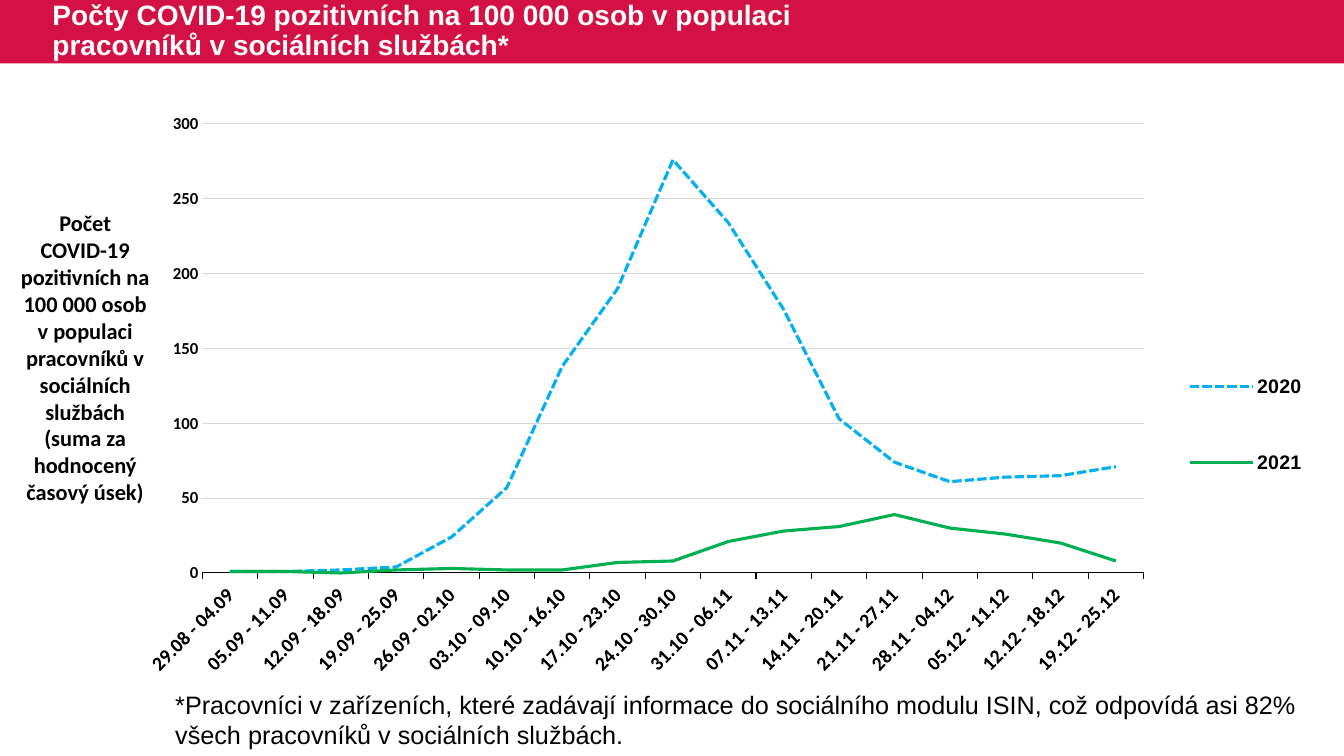
import pptx
import pptx.chart.data
import pptx.dml.color
import pptx.enum.chart
import pptx.enum.dml
import pptx.enum.shapes
import pptx.enum.text
import pptx.oxml
import pptx.oxml.ns
import pptx.util

COLOURS = {"band": "D31145", "white": "FFFFFF", "ink": "000000",
           "grid": "D9D9D9", "2020": "00B0F0", "2021": "00B050"}

WEEKS = ["29.08 - 04.09", "05.09 - 11.09", "12.09 - 18.09", "19.09 - 25.09",
         "26.09 - 02.10", "03.10 - 09.10", "10.10 - 16.10", "17.10 - 23.10",
         "24.10 - 30.10", "31.10 - 06.11", "07.11 - 13.11", "14.11 - 20.11",
         "21.11 - 27.11", "28.11 - 04.12", "05.12 - 11.12", "12.12 - 18.12",
         "19.12 - 25.12"]

CASES = {
    "2020": [1, 1, 2, 4, 24, 57, 138, 190, 276, 234, 176, 103, 74, 61, 64, 65, 71],
    "2021": [1, 1, 0, 2, 3, 2, 2, 7, 8, 21, 28, 31, 39, 30, 26, 20, 8],
}


def apply(target, values):
    for attribute, value in values.items():
        setattr(target, attribute, value)


class SlideBuilder:
    def __init__(self, deck):
        self.width, self.height = deck.slide_width, deck.slide_height
        self.slide = deck.slides.add_slide(deck.slide_layouts[5])
        self.shapes = self.slide.shapes

    def box(self, left, top, width, height):
        return {"left": int(self.width * left / 100),
                "top": int(self.height * top / 100),
                "width": int(self.width * width / 100),
                "height": int(self.height * height / 100)}

    def colour(self, target, name):
        target.rgb = pptx.dml.color.RGBColor.from_string(COLOURS[name])

    def font(self, font, size, name="Arial", bold=True, colour="ink"):
        apply(font, {"size": pptx.util.Pt(size), "name": name, "bold": bold})
        self.colour(font.color, colour)

    def line(self, line, colour, width):
        line.width = pptx.util.Pt(width)
        line.fill.solid()
        self.colour(line.fill.fore_color, colour)

    def band(self, area):
        band = self.shapes.add_shape(
            pptx.enum.shapes.MSO_SHAPE.RECTANGLE, **self.box(*area))
        band.shadow.inherit = False
        band.fill.solid()
        self.colour(band.fill.fore_color, "band")
        band.line.fill.background()
        self.shapes._spTree.insert(2, band._element)

    def title(self, wording, area):
        heading = self.shapes.title
        apply(heading, self.box(*area))
        apply(heading.text_frame, {
            "text": wording, "word_wrap": True,
            "auto_size": pptx.enum.text.MSO_AUTO_SIZE.NONE,
            "vertical_anchor": pptx.enum.text.MSO_ANCHOR.MIDDLE})
        paragraph = heading.text_frame.paragraphs[0]
        apply(paragraph, {"alignment": pptx.enum.text.PP_ALIGN.LEFT,
                          "line_spacing": 0.9})
        self.font(paragraph.runs[0].font, 20, colour="white")

    def text(self, wording, area, align, **style):
        frame = self.shapes.add_textbox(**self.box(*area)).text_frame
        apply(frame, {"text": wording, "word_wrap": True,
                      "auto_size": pptx.enum.text.MSO_AUTO_SIZE.SHAPE_TO_FIT_TEXT})
        paragraph = frame.paragraphs[0]
        paragraph.alignment = align
        self.font(paragraph.runs[0].font, **style)

    def place(self, part, index, shares, inner=False):
        for old in part.findall(pptx.oxml.ns.qn("c:layout")):
            part.remove(old)
        target = '<c:layoutTarget val="inner"/>' if inner else ""
        modes = "".join(f'<c:{axis}Mode val="edge"/>' for axis in "xy")
        sizes = "".join(f'<c:{side} val="{share}"/>'
                        for side, share in zip("xywh", shares))
        part.insert(index, pptx.oxml.parse_xml(
            f'<c:layout {pptx.oxml.ns.nsdecls("c")}><c:manualLayout>'
            f'{target}{modes}{sizes}</c:manualLayout></c:layout>'))

    def line_chart(self, weeks, cases, area, plot_shares, legend_shares, dashes):
        kinds = pptx.enum.chart
        data = pptx.chart.data.CategoryChartData()
        data.categories = weeks
        for year, counts in cases.items():
            data.add_series(year, counts)
        box = self.box(*area)
        chart = self.shapes.add_chart(
            kinds.XL_CHART_TYPE.LINE, box["left"], box["top"],
            box["width"], box["height"], data).chart
        apply(chart, {"has_title": False, "has_legend": True})
        self.font(chart.font, 14)
        self.font(chart.legend.font, 14)
        apply(chart.legend, {"position": kinds.XL_LEGEND_POSITION.RIGHT,
                             "include_in_layout": False})
        self.place(chart.legend._element, 1, legend_shares)
        self.place(chart._chartSpace.chart.plotArea, 0, plot_shares, True)

        week_axis, count_axis = chart.category_axis, chart.value_axis
        apply(week_axis, {"major_tick_mark": kinds.XL_TICK_MARK.OUTSIDE,
                          "has_major_gridlines": False})
        apply(count_axis, {"major_tick_mark": kinds.XL_TICK_MARK.NONE,
                           "minimum_scale": 0, "maximum_scale": 300,
                           "major_unit": 50, "has_major_gridlines": True})
        self.font(week_axis.tick_labels.font, 14, "Calibri")
        self.font(count_axis.tick_labels.font, 12, "Calibri")
        week_axis._element.txPr.bodyPr.set("rot", "-2700000")
        self.line(week_axis.format.line, "ink", 0.75)
        self.line(count_axis.major_gridlines.format.line, "grid", 0.75)
        count_axis.format.line.fill.background()

        chart.plots[0].vary_by_categories = False
        for series in chart.plots[0].series:
            series.smooth = False
            series.marker.style = kinds.XL_MARKER_STYLE.NONE
            self.line(series.format.line, series.name, 2.25)
            if series.name in dashes:
                series.format.line.dash_style = dashes[series.name]


def main():
    deck = pptx.Presentation()
    apply(deck, {"slide_width": pptx.util.Inches(13.33),
                 "slide_height": pptx.util.Inches(7.5)})
    builder = SlideBuilder(deck)
    align = pptx.enum.text.PP_ALIGN
    builder.band((0, 0, 100, 8.4))
    builder.title("Počty COVID-19 pozitivních na 100 000 osob v populaci "
                  "pracovníků v sociálních službách*", (3.15, 0, 64, 8.4))
    builder.text("Počet COVID-19 pozitivních na 100 000 osob v populaci "
                 "pracovníků v sociálních službách (suma za hodnocený časový úsek)",
                 (0.45, 27.07, 11.78, 40.8), align.CENTER, size=16, name="Calibri")
    builder.text("*Pracovníci v zařízeních, které zadávají informace do sociálního "
                 "modulu ISIN, což odpovídá asi 82% všech pracovníků v sociálních "
                 "službách.", (12.3, 90.53, 86.72, 9.47), align.LEFT,
                 size=18, bold=False)
    builder.line_chart(WEEKS, CASES, (10.88, 15.07, 87.47, 78.27),
                       (0.045, 0.017, 0.803, 0.759), (0.87, 0.35, 0.13, 0.35),
                       {"2020": pptx.enum.dml.MSO_LINE.SQUARE_DOT})
    deck.save("out.pptx")


if __name__ == "__main__":
    main()
